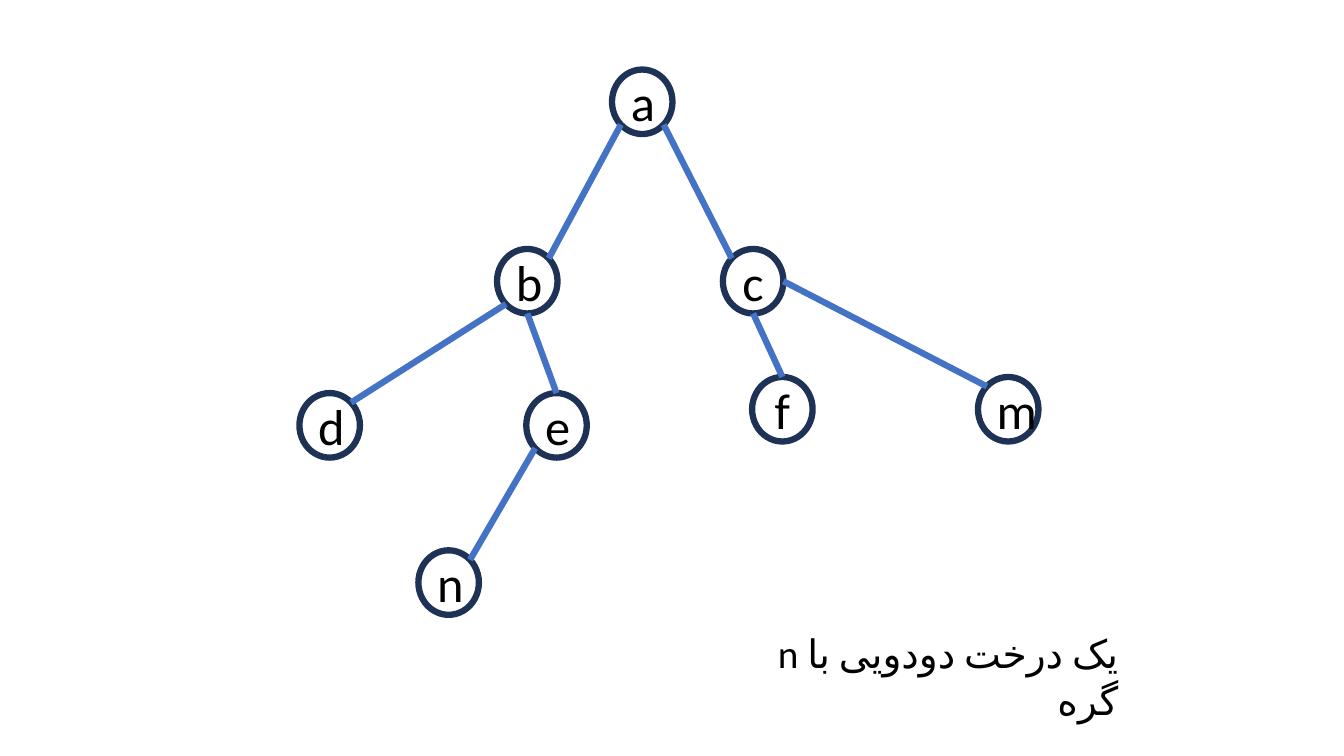
"""Draw a binary tree of labelled nodes with a Persian caption."""
from dataclasses import dataclass
from math import sqrt

from lxml import etree
from pptx import Presentation
from pptx import util as u
from pptx.dml.color import RGBColor
from pptx.enum import shapes, text
from pptx.oxml import ns


@dataclass(frozen=True)
class Theme:
    font: str = "Calibri"
    ink: RGBColor = RGBColor(0x00, 0x00, 0x00)
    outline: RGBColor = RGBColor(0x1E, 0x32, 0x56)
    edge: RGBColor = RGBColor(0x44, 0x72, 0xC4)
    line_width: float = 4.5
    node_size: int = 36
    caption_size: int = 28


NODE_WIDTH, NODE_HEIGHT = 0.6, 0.64
DIAGONAL = 1 / sqrt(2)
SITES = {
    "top": (0, -1),
    "bottom": (0, 1),
    "right": (1, 0),
    "top left": (-DIAGONAL, -DIAGONAL),
    "top right": (DIAGONAL, -DIAGONAL),
    "bottom left": (-DIAGONAL, DIAGONAL),
    "bottom right": (DIAGONAL, DIAGONAL),
}
NODES = {
    "a": (6.07, 0.69),
    "b": (4.93, 2.47),
    "c": (7.17, 2.47),
    "d": (2.97, 3.9),
    "e": (5.22, 3.9),
    "f": (7.46, 3.74),
    "m": (9.7, 3.74),
    "n": (4.15, 5.46),
}
EDGES = [
    ("c", "right", "m", "top left"),
    ("e", "bottom left", "n", "top right"),
    ("a", "bottom left", "b", "top right"),
    ("b", "bottom", "e", "top"),
    ("c", "bottom", "f", "top"),
    ("a", "bottom right", "c", "top left"),
    ("b", "bottom left", "d", "top right"),
]


class TreeSlide:
    def __init__(self, slide, theme):
        self.slide = slide
        self.theme = theme

    def format_text(self, paragraph, size, alignment):
        paragraph.alignment = alignment
        for run in paragraph.runs:
            run.font.name = self.theme.font
            run.font.size = u.Pt(size)
            run.font.color.rgb = self.theme.ink

    def format_line(self, line, color):
        line.color.rgb = color
        line.width = u.Pt(self.theme.line_width)

    def node(self, label, left, top):
        shape = self.slide.shapes.add_shape(
            shapes.MSO_SHAPE.OVAL, u.Inches(left), u.Inches(top),
            u.Inches(NODE_WIDTH), u.Inches(NODE_HEIGHT))
        shape.shadow.inherit = False
        shape.fill.background()
        self.format_line(shape.line, self.theme.outline)
        frame = shape.text_frame
        frame.text = label
        frame.vertical_anchor = text.MSO_ANCHOR.MIDDLE
        self.format_text(frame.paragraphs[0], self.theme.node_size,
                         text.PP_ALIGN.CENTER)

    def site(self, label, name):
        left, top = NODES[label]
        across, down = SITES[name]
        return (u.Inches(left + NODE_WIDTH / 2 * (1 + across)),
                u.Inches(top + NODE_HEIGHT / 2 * (1 + down)))

    def edge(self, parent, parent_site, child, child_site):
        connector = self.slide.shapes.add_connector(
            shapes.MSO_CONNECTOR.STRAIGHT,
            *self.site(parent, parent_site), *self.site(child, child_site))
        self.format_line(connector.line, self.theme.edge)
        properties = connector.element.find(ns.qn("p:spPr"))
        etree.SubElement(properties, ns.qn("a:effectLst"))

    def caption(self, words, left, top, width, height):
        box = self.slide.shapes.add_textbox(
            u.Inches(left), u.Inches(top), u.Inches(width), u.Inches(height))
        frame = box.text_frame
        frame.word_wrap = True
        frame.text = words
        paragraph = frame.paragraphs[0]
        self.format_text(paragraph, self.theme.caption_size,
                         text.PP_ALIGN.RIGHT)
        for properties in box.element.iter(ns.qn("a:pPr")):
            properties.set("rtl", "1")
        for properties in box.element.iter(ns.qn("a:rPr")):
            properties.set("lang", "fa-IR")
            etree.SubElement(properties, ns.qn("a:cs"),
                             typeface=self.theme.font)


def main():
    presentation = Presentation()
    presentation.slide_width = u.Inches(13.33)
    presentation.slide_height = u.Inches(7.5)
    blank_layout = presentation.slide_layouts[6]
    tree = TreeSlide(presentation.slides.add_slide(blank_layout), Theme())
    for label, (left, top) in NODES.items():
        tree.node(label, left, top)
    for edge in EDGES:
        tree.edge(*edge)
    tree.caption("یک درخت دودویی با n گره", 7.39, 6.19, 3.8, 0.57)
    presentation.save("out.pptx")


if __name__ == "__main__":
    main()
